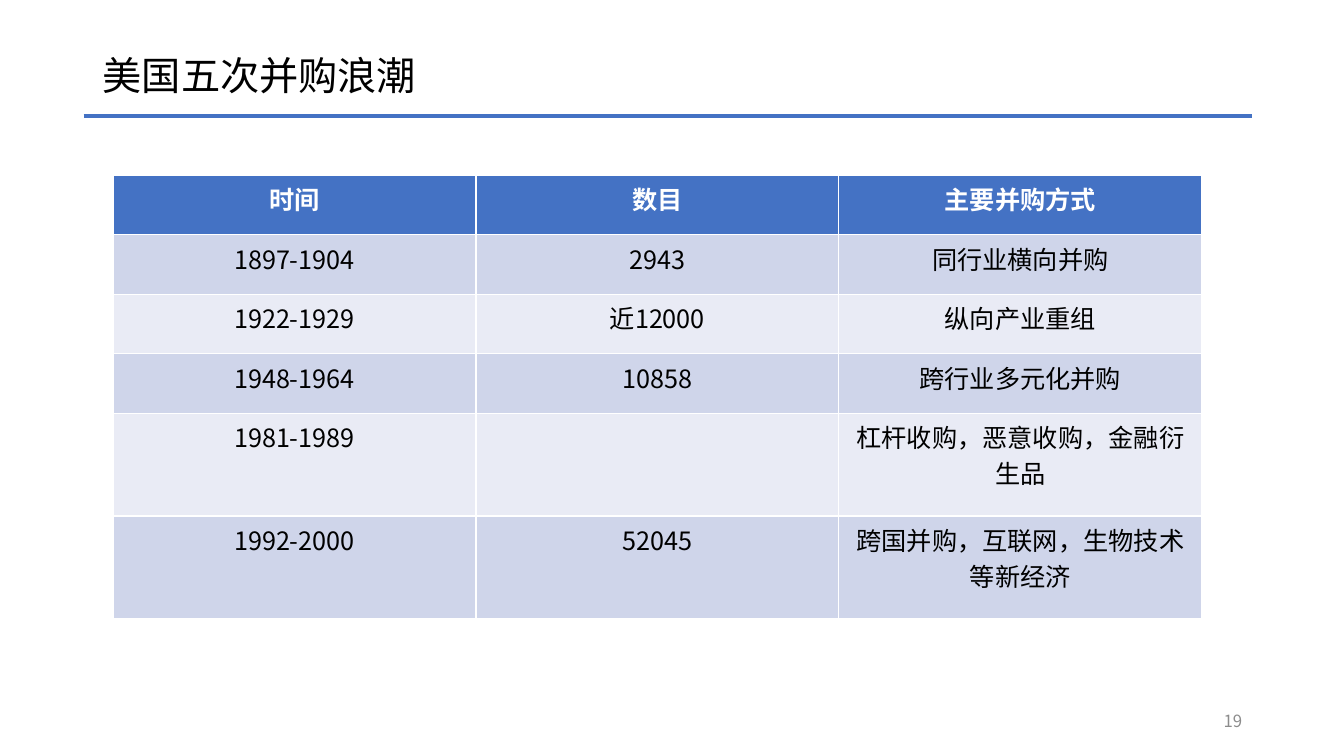
import pptx
import pptx.util
import pptx.dml.color
import pptx.enum.shapes
import pptx.enum.text
import pptx.oxml.ns
import lxml.etree

Inches = pptx.util.Inches
Pt = pptx.util.Pt
ALIGN = pptx.enum.text.PP_ALIGN
MIDDLE = pptx.enum.text.MSO_ANCHOR.MIDDLE
FONT = "Noto Sans CJK SC"


def rgb(value):
    return pptx.dml.color.RGBColor.from_string(value)


def write(tf, text, align, color, **fmt):
    p = tf.paragraphs[0]
    p.alignment = align
    r = p.add_run()
    r.text = text
    for name, value in {"name": FONT, **fmt}.items():
        setattr(r.font, name, value)
    r.font.color.rgb = rgb(color)
    ea = lxml.etree.SubElement(r.font._element, pptx.oxml.ns.qn("a:ea"))
    ea.set("typeface", FONT)
    return p


prs = pptx.Presentation()
prs.slide_width, prs.slide_height = Inches(13.33), Inches(7.5)
s = prs.slides.add_slide(prs.slide_layouts[5])

title = s.shapes.title
title_box = {"left": 0.92, "top": 0.4, "width": 11.5, "height": 0.74}
for name, value in title_box.items():
    setattr(title, name, Inches(value))
title.text_frame.vertical_anchor = MIDDLE
p = write(title.text_frame, "美国五次并购浪潮", ALIGN.LEFT, "000000", size=Pt(28))
p.line_spacing = 0.9

rule = s.shapes.add_connector(
    pptx.enum.shapes.MSO_CONNECTOR.STRAIGHT,
    Inches(0.83), Inches(1.15), Inches(12.42), Inches(1.15))
rule.line.color.rgb = rgb("4472C4")
rule.line.width = Pt(3)
lxml.etree.SubElement(rule._element.spPr, pptx.oxml.ns.qn("a:effectLst"))

number = s.shapes.add_textbox(Inches(9.42), Inches(6.95), Inches(3), Inches(0.4))
number.text_frame.word_wrap = True
number.text_frame.vertical_anchor = MIDDLE
write(number.text_frame, "19", ALIGN.RIGHT, "8C8C8C", size=Pt(12))

waves = [
    ("时间", "数目", "主要并购方式"),
    ("1897-1904", "2943", "同行业横向并购"),
    ("1922-1929", "近12000", "纵向产业重组"),
    ("1948-1964", "10858", "跨行业多元化并购"),
    ("1981-1989", "", "杠杆收购，恶意收购，金融衍生品"),
    ("1992-2000", "52045", "跨国并购，互联网，生物技术等新经济"),
]
heights = [0.59] * 4 + [1.02] * 2
table = s.shapes.add_table(
    len(waves), 3, Inches(1.12), Inches(1.74),
    Inches(10.8), Inches(sum(heights))).table

for i, (wave, height) in enumerate(zip(waves, heights)):
    table.rows[i].height = Inches(height)
    header = i == 0
    fill = "4472C4" if header else ("E9EBF5", "CFD5EA")[i % 2]
    for j, text in enumerate(wave):
        cell = table.cell(i, j)
        cell.fill.solid()
        cell.fill.fore_color.rgb = rgb(fill)
        if text:
            write(cell.text_frame, text, ALIGN.CENTER,
                  "FFFFFF" if header else "000000", size=Pt(18), bold=header)

prs.save("out.pptx")
